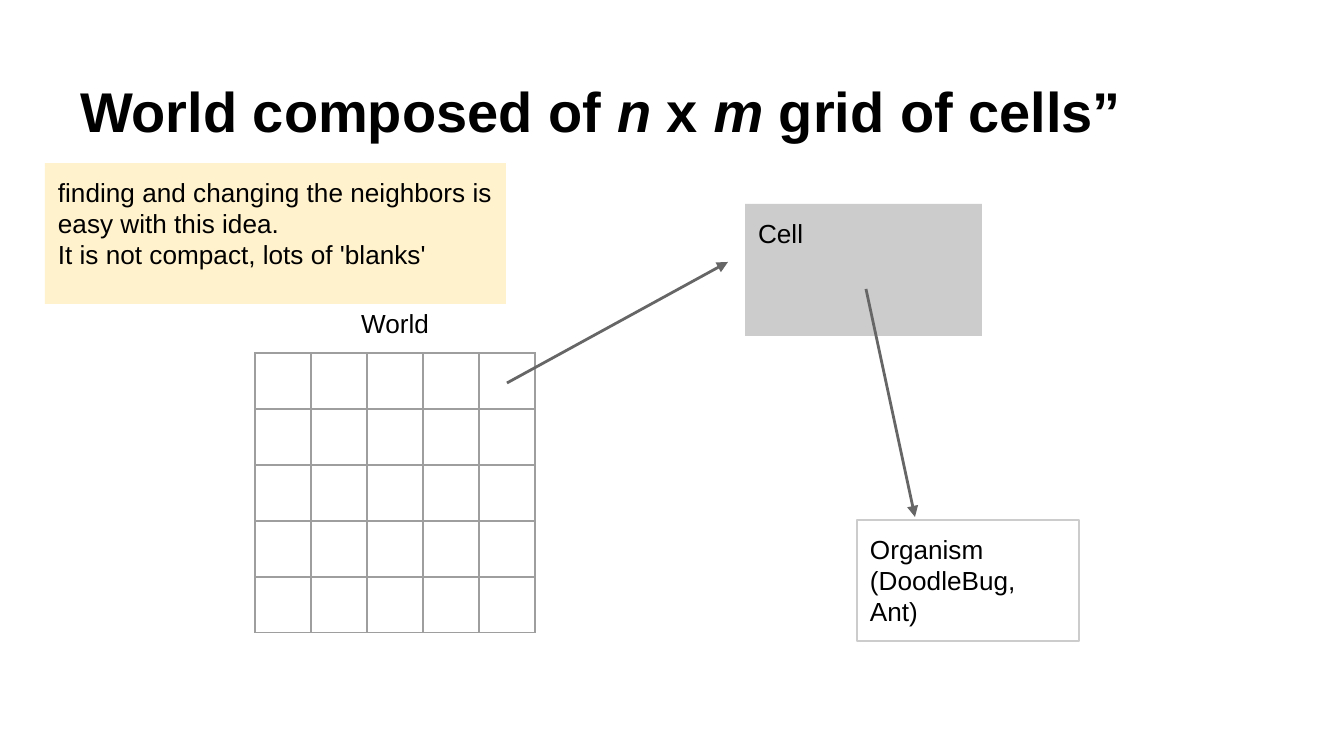
"""Builds a slide showing a world grid whose cells hold organisms."""
from lxml import etree
from pptx import Presentation
from pptx.dml.color import RGBColor
from pptx.enum.shapes import MSO_CONNECTOR, MSO_SHAPE
from pptx.enum.text import MSO_ANCHOR, MSO_AUTO_SIZE, PP_ALIGN
from pptx.oxml.ns import qn
from pptx.util import Pt

BLACK = RGBColor(0x00, 0x00, 0x00)
ARROW_GRAY = RGBColor(0x66, 0x66, 0x66)
GRID_GRAY = RGBColor(0x9E, 0x9E, 0x9E)
CELL_GRAY = RGBColor(0xCC, 0xCC, 0xCC)
NOTE_YELLOW = RGBColor(0xFF, 0xF2, 0xCC)
FONT = "Arial"

TITLE_BOX = (67, 31, 1210, 126)
TITLE_RUNS = [("World composed of ", False), ("n", True), (" x ", False),
              ("m", True), (" grid of cells”", False)]
GRID_LEFT, GRID_TOP, GRID_PITCH, GRID_COUNT = 255, 353, 56, 5
WORLD_BOX = (340, 294, 110, 47)
BOXES = [
    ((745, 204, 237, 132), CELL_GRAY, None, ["Cell"]),
    ((857, 520, 222, 121), None, CELL_GRAY, ["Organism (DoodleBug, Ant)"]),
    ((45, 163, 461, 141), NOTE_YELLOW, None,
     ["finding and changing the neighbors is easy with this idea.",
      "It is not compact, lots of 'blanks'"]),
]
ARROWS = [((507, 383), (728, 262)), ((866, 289), (915, 517))]


def px(*lengths):
    return [round(length * 914400 / 134.4) for length in lengths]


def style_run(run, size, bold=False, italic=False):
    font = run.font
    font.name, font.size, font.bold, font.italic = FONT, Pt(size), bold, italic
    font.color.rgb = BLACK


def set_frame(frame, anchor):
    frame.word_wrap = True
    frame.auto_size = MSO_AUTO_SIZE.NONE
    frame.vertical_anchor = anchor
    inset = px(13)[0]
    frame.margin_left = frame.margin_right = inset
    frame.margin_top = frame.margin_bottom = inset


def write(shape, paragraphs, align=PP_ALIGN.LEFT):
    frame = shape.text_frame
    set_frame(frame, MSO_ANCHOR.TOP)
    frame.text = "\n".join(paragraphs)
    for paragraph in frame.paragraphs:
        paragraph.alignment = align
        for run in paragraph.runs:
            style_run(run, 14)


def add_title(slide):
    title = slide.shapes.title
    title.left, title.top, title.width, title.height = px(*TITLE_BOX)
    set_frame(title.text_frame, MSO_ANCHOR.BOTTOM)
    paragraph = title.text_frame.paragraphs[0]
    paragraph.alignment = PP_ALIGN.LEFT
    for text, italic in TITLE_RUNS:
        run = paragraph.add_run()
        run.text = text
        style_run(run, 30, True, italic)


def add_grid(slide):
    side = GRID_PITCH * GRID_COUNT
    table = slide.shapes.add_table(
        GRID_COUNT, GRID_COUNT, *px(GRID_LEFT, GRID_TOP, side, side)).table
    table.first_row = table.horz_banding = False
    for track in [*table.columns]:
        track.width = px(GRID_PITCH)[0]
    for track in table.rows:
        track.height = px(GRID_PITCH)[0]
    for cell in table.iter_cells():
        properties = cell._tc.get_or_add_tcPr()
        for edge in ("a:lnL", "a:lnR", "a:lnT", "a:lnB"):
            line = etree.SubElement(properties, qn(edge), w=str(Pt(0.75)))
            fill = etree.SubElement(line, qn("a:solidFill"))
            etree.SubElement(fill, qn("a:srgbClr"), val=str(GRID_GRAY))
        cell.fill.background()


def add_box(slide, box, fill, outline, paragraphs):
    shape = slide.shapes.add_shape(MSO_SHAPE.RECTANGLE, *px(*box))
    shape.shadow.inherit = False
    for part, color in ((shape.fill, fill), (shape.line.fill, outline)):
        if color is None:
            part.background()
        else:
            part.solid()
            part.fore_color.rgb = color
    if outline is not None:
        shape.line.width = Pt(0.75)
    write(shape, paragraphs)


def add_arrow(slide, start, end):
    arrow = slide.shapes.add_connector(MSO_CONNECTOR.STRAIGHT, *px(*start, *end))
    arrow.line.color.rgb = ARROW_GRAY
    arrow.line.width = Pt(1.5)
    etree.SubElement(arrow.line._get_or_add_ln(), qn("a:tailEnd"),
                     type="triangle", w="med", len="med")
    etree.SubElement(arrow._element.spPr, qn("a:effectLst"))


presentation = Presentation()
presentation.slide_width, presentation.slide_height = px(1344, 756)
slide = presentation.slides.add_slide(presentation.slide_layouts[5])
add_title(slide)
add_grid(slide)
write(slide.shapes.add_textbox(*px(*WORLD_BOX)), ["World"], PP_ALIGN.CENTER)
for box in BOXES:
    add_box(slide, *box)
for arrow_ends in ARROWS:
    add_arrow(slide, *arrow_ends)
presentation.save("out.pptx")
